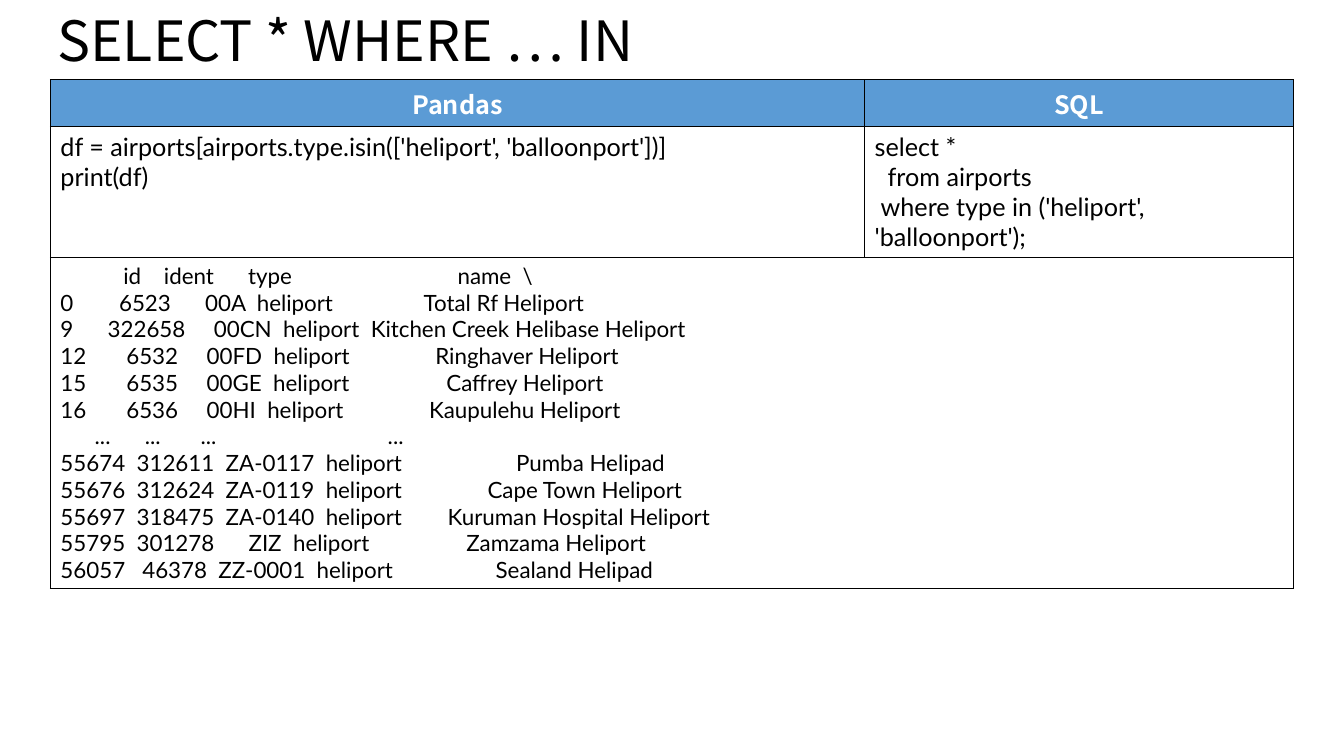
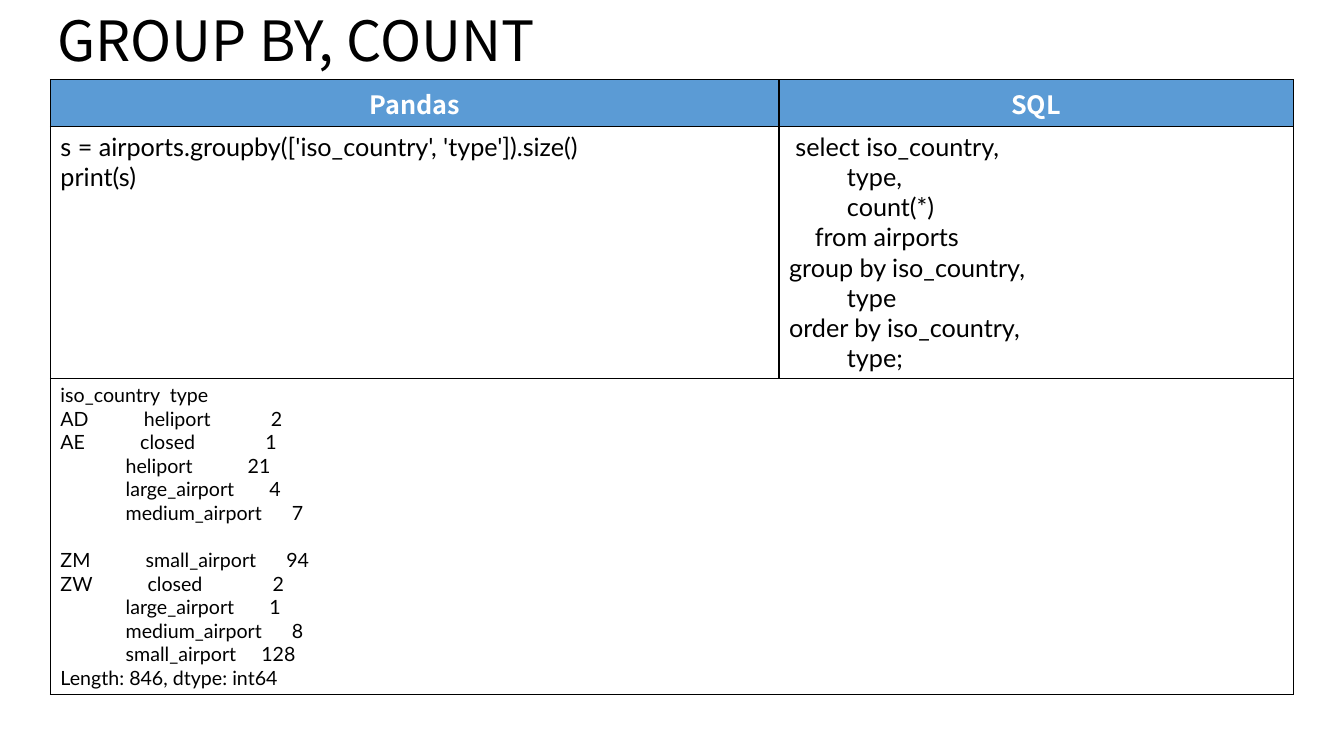
import lxml.etree
import pptx
import pptx.dml.color
import pptx.enum.text
import pptx.oxml.ns
import pptx.util

Cm, Pt = pptx.util.Cm, pptx.util.Pt
RGBColor = pptx.dml.color.RGBColor
PP_ALIGN = pptx.enum.text.PP_ALIGN
qn = pptx.oxml.ns.qn

BLACK = RGBColor(0x00, 0x00, 0x00)
WHITE = RGBColor(0xFF, 0xFF, 0xFF)
BLUE = RGBColor(0x5B, 0x9B, 0xD5)
HEADING_FONT = "Noto Sans CJK KR"
BODY_FONT = "Lato"
HEADINGS = ("Pandas", "SQL")
CODE_SIZE = 18
LINE_HEIGHT = 1.2

TABLE_LEFT, TABLE_TOP, TABLE_WIDTH = 1.27, 2.01, 31.32
ROW_HEIGHT = 1.04

COMPARISONS = [
    {
        "title": "SELECT * WHERE … IN",
        "pandas_width": 20.52,
        "pandas": """\
df = airports[airports.type.isin(['heliport', 'balloonport'])]
print(df)""",
        "sql": """\
select *
  from airports
 where type in ('heliport', 'balloonport');""",
        "output_size": 16,
        "output": """\
           id    ident      type                             name  \\
0        6523      00A  heliport                Total Rf Heliport
9      322658     00CN  heliport  Kitchen Creek Helibase Heliport
12       6532     00FD  heliport               Ringhaver Heliport
15       6535     00GE  heliport                 Caffrey Heliport
16       6536     00HI  heliport               Kaupulehu Heliport
      ...      ...       ...                              ...
55674  312611  ZA-0117  heliport                    Pumba Helipad
55676  312624  ZA-0119  heliport               Cape Town Heliport
55697  318475  ZA-0140  heliport        Kuruman Hospital Heliport
55795  301278      ZIZ  heliport                 Zamzama Heliport
56057   46378  ZZ-0001  heliport                  Sealand Helipad""",
    },
    {
        "title": "GROUP BY, COUNT",
        "pandas_width": 18.36,
        "pandas": """\
s = airports.groupby(['iso_country', 'type']).size()
print(s)""",
        "sql": """\
 select iso_country,
         type,
         count(*)
    from airports
group by iso_country,
         type
order by iso_country,
         type;""",
        "output_size": 14,
        "output": """\
iso_country  type
AD           heliport            2
AE           closed              1
             heliport           21
             large_airport       4
             medium_airport      7

ZM           small_airport      94
ZW           closed              2
             large_airport       1
             medium_airport      8
             small_airport     128
Length: 846, dtype: int64""",
    },
]


def format_run(run, font_name, size, color, bold=False):
    font = run.font
    font.name, font.size, font.bold = font_name, Pt(size), bold
    font.color.rgb = color
    east_asian = lxml.etree.SubElement(font._element, qn("a:ea"))
    east_asian.set("typeface", font_name)


def add_title(slide, text):
    title = slide.shapes.title
    title.left, title.top = Cm(1.19), Cm(0.3)
    title.width, title.height = Cm(29.21), Cm(1.57)
    frame = title.text_frame
    frame.text = text
    frame.auto_size = pptx.enum.text.MSO_AUTO_SIZE.NONE
    frame.vertical_anchor = pptx.enum.text.MSO_ANCHOR.MIDDLE
    paragraph = frame.paragraphs[0]
    paragraph.alignment = PP_ALIGN.LEFT
    paragraph.line_spacing = 0.9
    format_run(paragraph.runs[0], HEADING_FONT, 39.6, BLACK)


def set_borders(cell):
    properties = cell._tc.get_or_add_tcPr()
    for index, side in enumerate(("lnL", "lnR", "lnT", "lnB")):
        line = lxml.etree.Element(qn("a:" + side), w=str(Pt(1)))
        fill = lxml.etree.SubElement(line, qn("a:solidFill"))
        lxml.etree.SubElement(fill, qn("a:srgbClr"), val=str(BLACK))
        properties.insert(index, line)


def write_heading(cell, text):
    cell.fill.solid()
    cell.fill.fore_color.rgb = BLUE
    cell.text_frame.text = text
    paragraph = cell.text_frame.paragraphs[0]
    paragraph.alignment = PP_ALIGN.CENTER
    format_run(paragraph.runs[0], HEADING_FONT, CODE_SIZE, WHITE, bold=True)


def write_code(cell, code, size):
    """Write one paragraph a line; an empty line becomes space before the next."""
    frame = cell.text_frame
    lines = code.split("\n")
    frame.text = "\n".join(line for line in lines if line)
    gaps = [previous == "" for previous, line in zip([None] + lines, lines) if line]
    for paragraph, has_gap in zip(frame.paragraphs, gaps):
        if has_gap:
            paragraph.space_before = Pt(size * LINE_HEIGHT)
        format_run(paragraph.runs[0], BODY_FONT, size, BLACK)


def add_comparison_table(slide, comparison):
    table = slide.shapes.add_table(
        3, 2, Cm(TABLE_LEFT), Cm(TABLE_TOP), Cm(TABLE_WIDTH), Cm(3 * ROW_HEIGHT)
    ).table
    pandas_width = comparison["pandas_width"]
    for column, width in zip(table.columns, (pandas_width, TABLE_WIDTH - pandas_width)):
        column.width = Cm(width)
    for cell in table.iter_cells():
        cell.fill.background()
        set_borders(cell)
    for column, heading in enumerate(HEADINGS):
        write_heading(table.cell(0, column), heading)
        write_code(table.cell(1, column), comparison[heading.lower()], CODE_SIZE)
    table.cell(2, 0).merge(table.cell(2, 1))
    write_code(table.cell(2, 0), comparison["output"], comparison["output_size"])


def main():
    presentation = pptx.Presentation()
    presentation.slide_width, presentation.slide_height = Cm(33.87), Cm(19.05)
    title_only = presentation.slide_layouts.get_by_name("Title Only")
    for comparison in COMPARISONS:
        slide = presentation.slides.add_slide(title_only)
        add_title(slide, comparison["title"])
        add_comparison_table(slide, comparison)
    presentation.save("out.pptx")


if __name__ == "__main__":
    main()
